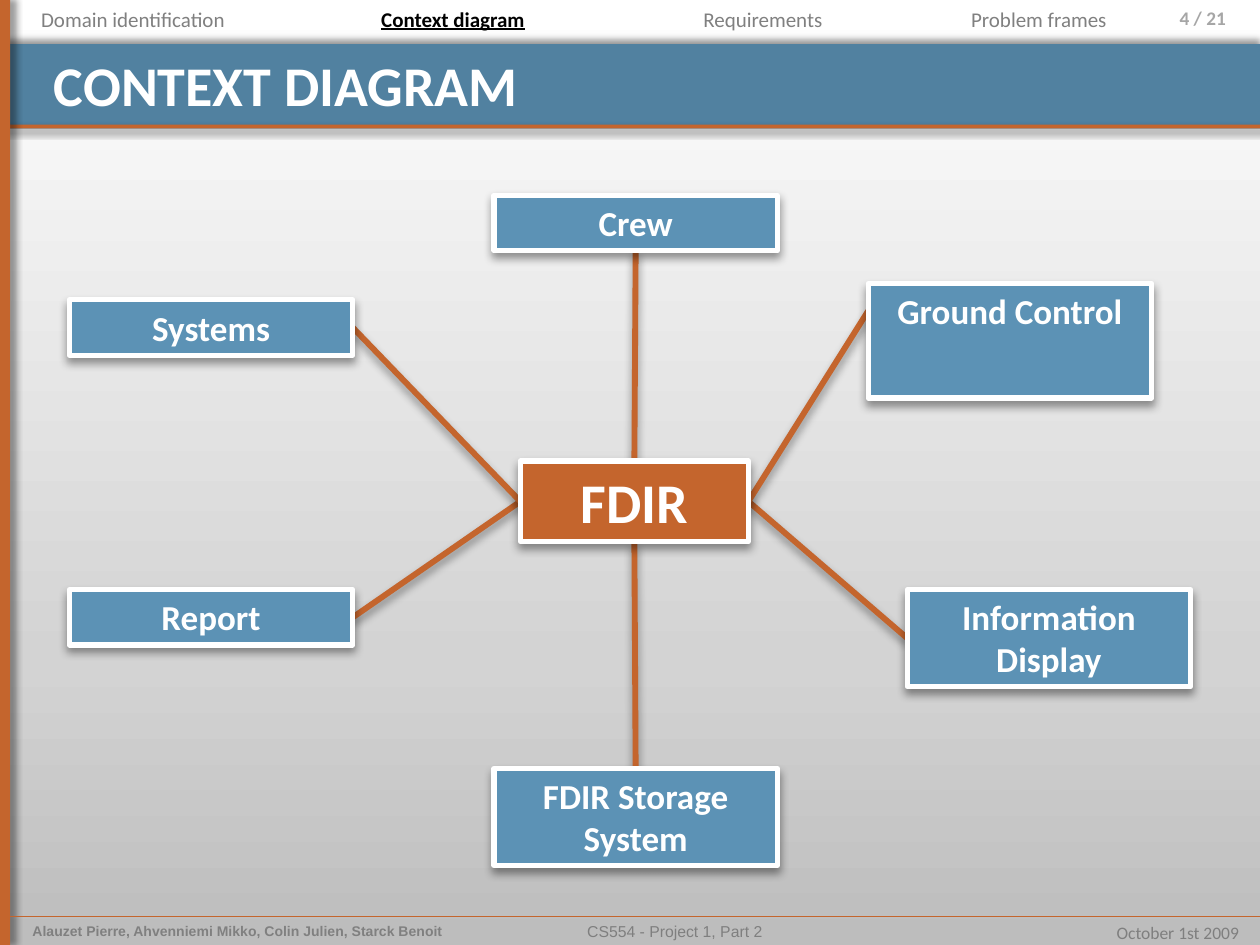
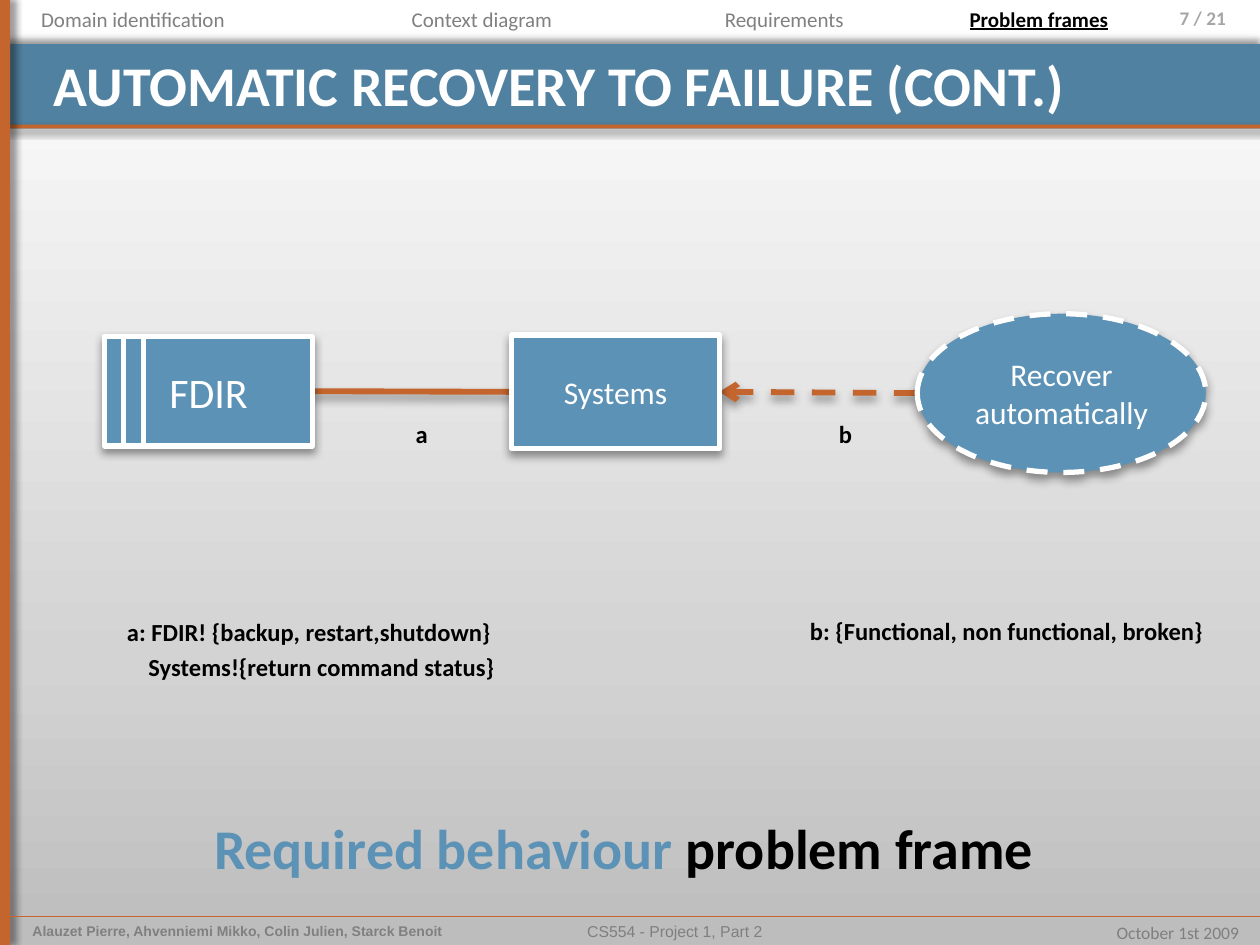
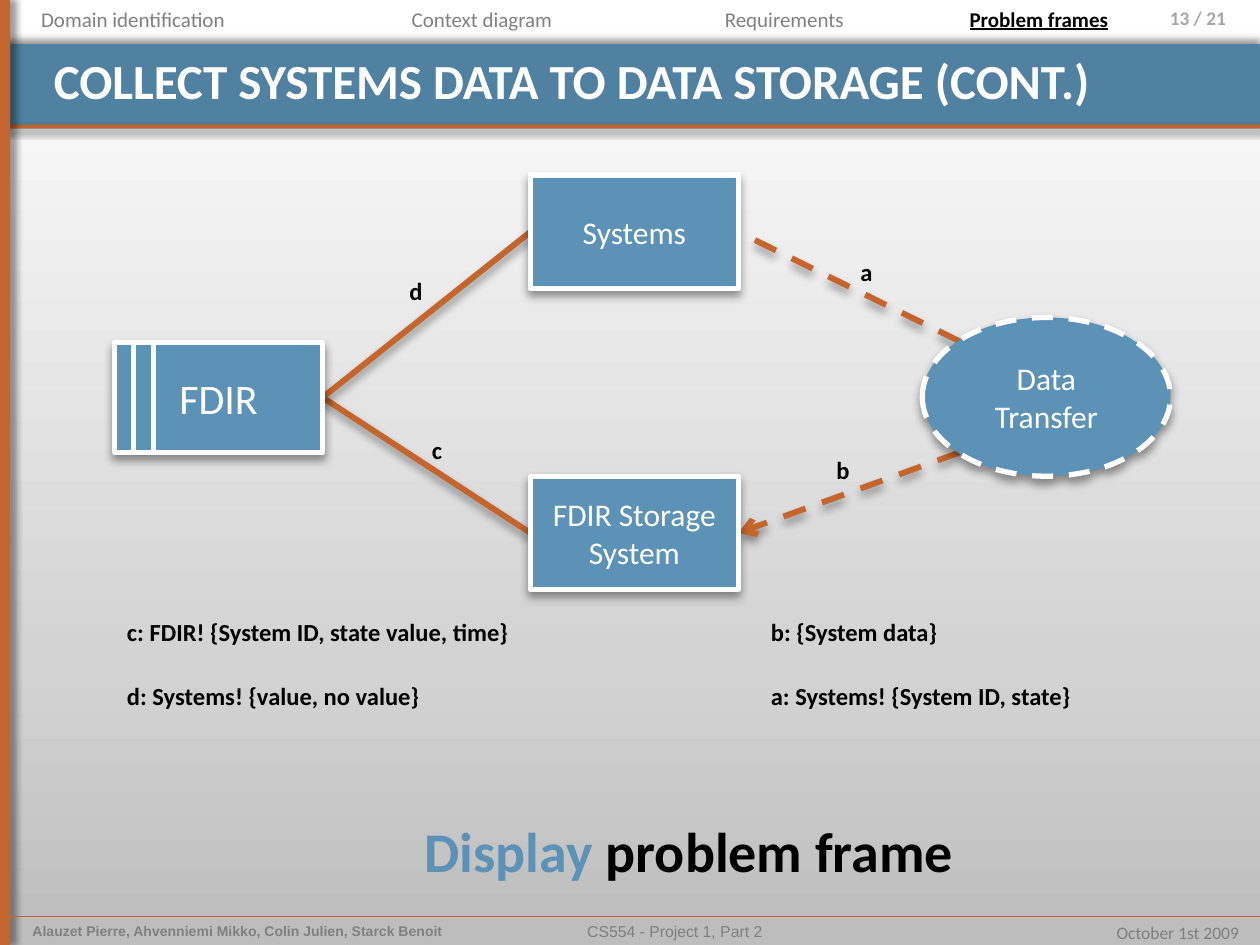
from copy import deepcopy

from pptx import Presentation
from pptx.dml.color import RGBColor
from pptx.enum import dml, shapes, text
from pptx.oxml import parse_xml
from pptx.oxml.ns import nsdecls, qn
from pptx.util import Inches, Pt

WHITE = RGBColor(0xFF, 0xFF, 0xFF)
BLACK = RGBColor(0, 0, 0)
TITLE_BLUE = RGBColor(0x51, 0x81, 0xA0)
BOX_BLUE = RGBColor(0x5C, 0x92, 0xB5)
ORANGE = RGBColor(0xC4, 0x65, 0x2D)
NAV_GREY = RGBColor(0x80, 0x80, 0x80)
FOOTER_GREY = RGBColor(0x7F, 0x7F, 0x7F)
PAGE_GREY = RGBColor(0xA6, 0xA6, 0xA6)
BACKDROP = [(0, RGBColor(0xBD, 0xBD, 0xBD)), (0.3, RGBColor(0xD3, 0xD3, 0xD3)), (1, WHITE)]

LEFT, RIGHT, TOP, BOTTOM = (0, 0.5), (1, 0.5), (0.5, 0), (0.5, 1)
# Points of an ellipse on its diagonals
UPPER_LEFT, LOWER_LEFT = (0.15, 0.15), (0.15, 0.85)

# Shared content
AUTHORS = "Alauzet Pierre, Ahvenniemi Mikko, Colin Julien, Starck Benoit"
COURSE = "CS554 - Project 1, Part 2"
DATE = "October 1st 2009"
PAGES = 21
SECTIONS = [("Domain identification", 2.11), ("Context diagram", 2.81),
            ("Requirements", 2.11), ("Problem frames", 2.11)]
BANDS = [  # place, colour, shadow direction
    ((0, 0.35, 10, 0.67), TITLE_BLUE, 270),
    ((0, 0.99, 10, 0.03), ORANGE, 45),
    ((0, 0, 0.08, 7.5), ORANGE, 0),
]

# Slide content. Boxes: key -> (kind, words, place);
# links: (from, point, to, point, style); notes: (words, place)
FRAME_NAV = [0, 2.42, 5.17, 7.19]
SLIDES = [
    dict(
        page=4, title="CONTEXT DIAGRAM", title_size=32,
        section="Context diagram", nav=[0, 2.19, 5, 7.19],
        boxes={
            "display": ("entity", "Information Display", (7.2, 4.68, 2.25, 0.77)),
            "fdir": ("centre", "FDIR", (4.13, 3.66, 1.81, 0.64)),
            "ground": ("entity", "Ground Control", (6.89, 2.25, 2.25, 0.91)),
            "crew": ("entity", "Crew", (3.92, 1.55, 2.25, 0.44)),
            "systems": ("entity", "Systems", (0.55, 2.38, 2.25, 0.44)),
            "storage": ("entity", "FDIR Storage System", (3.92, 6.1, 2.25, 0.77)),
            "report": ("entity", "Report", (0.55, 4.68, 2.25, 0.44)),
        },
        links=[
            ("report", RIGHT, "fdir", LEFT, "solid"),
            ("systems", RIGHT, "fdir", LEFT, "solid"),
            ("storage", TOP, "fdir", BOTTOM, "solid"),
            ("crew", BOTTOM, "fdir", TOP, "solid"),
            ("fdir", RIGHT, "display", LEFT, "solid"),
            ("ground", (0, 0.24), "fdir", RIGHT, "solid"),
        ],
        notes=[], frame=None,
    ),
    dict(
        page=7, title="AUTOMATIC RECOVERY TO FAILURE (CONT.)", title_size=32,
        section="Problem frames", nav=FRAME_NAV,
        boxes={
            "fdir": ("machine", "FDIR", (0.83, 2.67, 1.65, 0.87)),
            "goal": ("requirement", "Recover automatically", (7.28, 2.49, 2.29, 1.26)),
            "systems": ("domain", "Systems", (4.06, 2.66, 1.65, 0.9)),
        },
        links=[
            ("goal", LEFT, "systems", RIGHT, "dashed arrow"),
            ("fdir", RIGHT, "systems", LEFT, "solid"),
        ],
        notes=[
            ("b", (6.56, 3.28, 0.35, 0.34)),
            ("a", (3.2, 3.28, 0.34, 0.34)),
            ("a: FDIR! {backup, restart,shutdown}\nSystems!{return command status}",
             (0.91, 4.85, 3.16, 0.62)),
            ("b: {Functional, non functional, broken}", (6.33, 4.84, 3.35, 0.34)),
        ],
        frame=("Required behaviour ", (1.6, 6.41, 6.79, 0.64)),
    ),
    dict(
        page=13, title="COLLECT SYSTEMS DATA TO DATA STORAGE (CONT.)", title_size=28,
        section="Problem frames", nav=FRAME_NAV,
        boxes={
            "fdir": ("machine", "FDIR", (0.91, 2.72, 1.65, 0.87)),
            "goal": ("requirement", "Data Transfer", (7.32, 2.52, 1.97, 1.26)),
            "systems": ("domain", "Systems", (4.21, 1.39, 1.65, 0.9)),
            "storage": ("domain", "FDIR Storage\nSystem", (4.21, 3.78, 1.65, 0.9)),
        },
        links=[
            ("goal", UPPER_LEFT, "systems", RIGHT, "dashed"),
            ("goal", LOWER_LEFT, "storage", RIGHT, "dashed arrow"),
            ("fdir", RIGHT, "storage", LEFT, "solid"),
            ("fdir", RIGHT, "systems", LEFT, "solid"),
        ],
        notes=[
            ("b: {System data}", (6.02, 4.85, 1.55, 0.34)),
            ("b", (6.54, 3.56, 0.35, 0.34)),
            ("a", (6.73, 1.99, 0.34, 0.34)),
            ("c: FDIR! {System ID, state value, time}", (0.91, 4.85, 3.27, 0.34)),
            ("c", (3.33, 3.4, 0.33, 0.34)),
            ("d", (3.15, 2.14, 0.35, 0.34)),
            ("d: Systems! {value, no value}", (0.91, 5.36, 2.56, 0.34)),
            ("a: Systems! {System ID, state}", (6.02, 5.36, 2.63, 0.34)),
        ],
        frame=("Display ", (3.27, 6.43, 4.56, 0.64)),
    ),
]

# kind -> fill, text size, bold, anchor
KINDS = {
    "entity": (BOX_BLUE, 20, True, text.MSO_ANCHOR.TOP),
    "centre": (ORANGE, 32, True, text.MSO_ANCHOR.TOP),
    "machine": (BOX_BLUE, 24, False, text.MSO_ANCHOR.MIDDLE),
    "domain": (BOX_BLUE, 18, False, text.MSO_ANCHOR.MIDDLE),
    "requirement": (BOX_BLUE, 18, False, text.MSO_ANCHOR.MIDDLE),
}
ALIGN = {"l": text.PP_ALIGN.LEFT, "c": text.PP_ALIGN.CENTER, "r": text.PP_ALIGN.RIGHT}


def inches(place):
    return [Inches(v) for v in place]


def set_shadow(part, blur=None, angle=90):
    """Cast a soft shadow, or none when no blur is given."""
    shadow = "" if blur is None else (
        f'<a:outerShdw blurRad="{Pt(blur)}" dist="{Pt(3)}" dir="{angle * 60000}" '
        'algn="ctr" rotWithShape="0"><a:srgbClr val="000000"><a:alpha val="40000"/>'
        '</a:srgbClr></a:outerShdw>')
    part._element.spPr.append(
        parse_xml(f'<a:effectLst {nsdecls("a")}>{shadow}</a:effectLst>'))


def write(part, words, size, colour, bold=False, align="l", font="Calibri",
          wrap=True, space=0):
    frame = part.text_frame
    frame.word_wrap = wrap
    for i, line in enumerate(words.split("\n")):
        paragraph = frame.paragraphs[0] if i == 0 else frame.add_paragraph()
        paragraph.text = line
        paragraph.alignment = ALIGN[align]
        if i:
            paragraph.space_before = Pt(space)
        style = paragraph.font
        style.name, style.size, style.bold = font, Pt(size), bold
        style.color.rgb = colour
    return frame


def add_text(slide, place, *args, **kwargs):
    return write(slide.shapes.add_textbox(*inches(place)), *args, **kwargs)


def add_line(parent, start, end, colour, width):
    line = parent.add_connector(shapes.MSO_CONNECTOR.STRAIGHT,
                                *inches(start), *inches(end))
    line.line.color.rgb = colour
    line.line.width = Pt(width)
    return line


def add_frame(slide, info):
    """Bands, footer, page number, title and section bar."""
    for place, colour, angle in BANDS:
        band = slide.shapes.add_shape(shapes.MSO_SHAPE.RECTANGLE, *inches(place))
        band.fill.solid()
        band.fill.fore_color.rgb = colour
        band.line.fill.background()
        set_shadow(band, 4, angle)
    add_text(slide, (0.16, 7.27, 3.67, 0.23), AUTHORS, 8, NAV_GREY, True, font="Arial")
    add_text(slide, (2.27, 7.27, 6.17, 0.23), COURSE, 9, FOOTER_GREY,
             align="c", font="Arial")
    add_text(slide, (8.74, 7.27, 1.19, 0.27), DATE, 10, FOOTER_GREY,
             align="r", wrap=False)
    page = add_text(slide, (8.83, 0, 1.17, 0.39), f"{info['page']} / {PAGES}", 11,
                    PAGE_GREY, True, "r")
    page.margin_right = Inches(0.27)
    set_shadow(add_line(slide.shapes, (0.08, 7.27), (10, 7.27), ORANGE, 0.25), 4, 45)
    add_text(slide, (0.33, 0.35, 9.67, 0.58), info["title"], info["title_size"],
             WHITE, True)
    for (label, width), left in zip(SECTIONS, info["nav"]):
        current = label == info["section"]
        entry = add_text(slide, (left, 0, width, 0.3), label, 12,
                         BLACK if current else NAV_GREY, current, "c")
        if current:
            entry.paragraphs[0].font.underline = True


def add_link(slide, start, end, style):
    link = add_line(slide.shapes, start, end, ORANGE, 3.35)
    if "dashed" in style:
        link.line.dash_style = dml.MSO_LINE.DASH
    if "arrow" in style:
        link.line._get_or_add_ln().append(
            parse_xml(f'<a:tailEnd {nsdecls("a")} type="arrow"/>'))
    set_shadow(link, 5.2)


def add_box(slide, kind, words, place):
    fill, size, bold, anchor = KINDS[kind]
    parent = slide.shapes.add_group_shape().shapes if kind == "machine" else slide.shapes
    outline = (shapes.MSO_SHAPE.OVAL if kind == "requirement"
               else shapes.MSO_SHAPE.RECTANGLE)
    box = parent.add_shape(outline, *inches(place))
    box.fill.solid()
    box.fill.fore_color.rgb = fill
    box.line.color.rgb = WHITE
    box.line.width = Pt(3)
    if kind == "requirement":
        box.line.dash_style = dml.MSO_LINE.DASH
    set_shadow(box, 5.2)
    write(box, words, size, WHITE, bold, "c").vertical_anchor = anchor
    if kind == "machine":  # two bars mark the machine domain
        x, y, _, h = place
        for offset in (0.15, 0.31):
            set_shadow(add_line(parent, (x + offset, y), (x + offset, y + h), WHITE, 3))


def point_on(box, point):
    x, y, w, h = box[2]
    return x + w * point[0], y + h * point[1]


prs = Presentation()
prs.slide_width, prs.slide_height = Inches(10), Inches(7.5)

# Backdrop, set once on the master
backdrop = prs.slide_master.background.fill
backdrop.gradient()
backdrop.gradient_angle = 90
stop_list = prs.slide_master.element.find(".//" + qn("a:gsLst"))
stop_list.insert(1, deepcopy(stop_list[0]))
for stop, (position, colour) in zip(backdrop.gradient_stops, BACKDROP):
    stop.position = position
    stop.color.rgb = colour

for info in SLIDES:
    slide = prs.slides.add_slide(prs.slide_layouts[6])
    add_frame(slide, info)
    boxes = info["boxes"]
    # Links lie behind the boxes
    for source, leave, target, arrive, style in info["links"]:
        add_link(slide, point_on(boxes[source], leave),
                 point_on(boxes[target], arrive), style)
    for box in boxes.values():
        add_box(slide, *box)
    for words, place in info["notes"]:
        note = add_text(slide, place, words, 14, BLACK, True, wrap=False, space=2.8)
        for follow_up in note.paragraphs[1:]:
            follow_up._p.get_or_add_pPr().set("marL", str(Inches(0.17)))
    # Name of the problem frame, its kind in blue
    if info["frame"]:
        kind, place = info["frame"]
        caption = add_text(slide, place, kind, 32, BLACK, True, wrap=False).paragraphs[0]
        caption.runs[0].font.color.rgb = BOX_BLUE
        caption.add_run().text = "problem frame"

prs.save("out.pptx")
